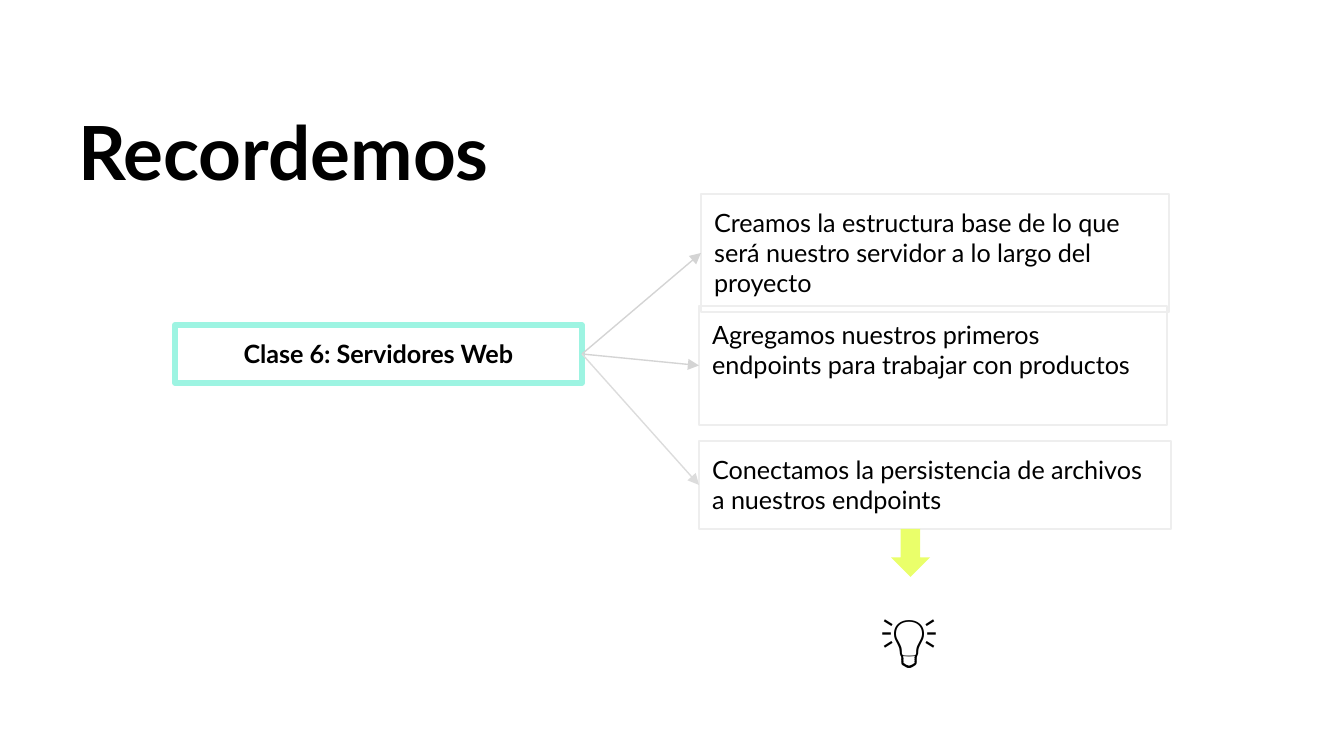
from lxml import etree
from pptx import Presentation
from pptx import util as u
from pptx.dml.color import RGBColor
from pptx.enum import shapes, text
from pptx.oxml.ns import qn

PX = 914400 / 134.4
COLORS = {
    "ink": "000000",
    "mint": "9DF4E2",
    "frame": "EEEEEE",
    "link": "D4D4D4",
    "pale_link": "DCDCDC",
    "lime": "EAFF6A",
}


def px(*lengths):
    return [u.Emu(round(length * PX)) for length in lengths]


def write(shape, words, size, bold=False, align=text.PP_ALIGN.LEFT):
    frame = shape.text_frame
    frame.word_wrap = True
    frame.vertical_anchor = text.MSO_ANCHOR.TOP
    frame.margin_left = frame.margin_right = u.Inches(0.1)
    frame.margin_top = frame.margin_bottom = u.Inches(0.1)
    paragraph = frame.paragraphs[0]
    paragraph.text = words
    paragraph.alignment = align
    paragraph.font.name = "Lato"
    paragraph.font.size = u.Pt(size)
    paragraph.font.bold = bold
    paragraph.font.color.rgb = RGBColor.from_string(COLORS["ink"])
    return paragraph


prs = Presentation()
prs.slide_width, prs.slide_height = px(1344, 756)
slide = prs.slides.add_slide(prs.slide_layouts[6])

title = slide.shapes.add_textbox(*px(65, 79, 1024, 145))
write(title, "Recordemos", 40, bold=True).line_spacing = 1.15

center, left = text.PP_ALIGN.CENTER, text.PP_ALIGN.LEFT
boxes = [
    ("Clase 6: Servidores Web", (175, 325, 407, 58), "mint", 3, True, center),
    ("Creamos la estructura base de lo que será nuestro servidor a lo largo del proyecto",
     (701, 194, 468, 118), "frame", 0.75, False, left),
    ("Agregamos nuestros primeros endpoints para trabajar con productos",
     (699, 306, 468, 119), "frame", 0.75, False, left),
    ("Conectamos la persistencia de archivos a nuestros endpoints",
     (699, 441, 472, 88), "frame", 0.75, False, left),
]
nodes = []
for words, place, color, width, bold, align in boxes:
    node = slide.shapes.add_shape(shapes.MSO_SHAPE.RECTANGLE, *px(*place))
    node.shadow.inherit = False
    node.fill.background()
    node.line.color.rgb = RGBColor.from_string(COLORS[color])
    node.line.width = u.Pt(width)
    write(node, words, 13.5, bold, align)
    nodes.append(node)

lesson, *topics = nodes
for topic, color in zip(topics, ("link", "link", "pale_link")):
    link = slide.shapes.add_connector(shapes.MSO_CONNECTOR.STRAIGHT, 0, 0, 0, 0)
    link.begin_connect(lesson, 3)
    link.end_connect(topic, 1)
    link.line.color.rgb = RGBColor.from_string(COLORS[color])
    link.line.width = u.Pt(0.75)
    etree.SubElement(link.line._get_or_add_ln(), qn("a:tailEnd"), type="triangle")
    etree.SubElement(link._element.spPr, qn("a:effectLst"))

arrow = slide.shapes.add_shape(shapes.MSO_SHAPE.DOWN_ARROW, *px(891, 529, 39, 48))
arrow.shadow.inherit = False
arrow.fill.solid()
arrow.fill.fore_color.rgb = RGBColor.from_string(COLORS["lime"])
arrow.line.fill.background()

idea = slide.shapes.add_textbox(*px(689, 590, 441, 95))
write(idea, "💡", 30, align=center)

prs.save("out.pptx")
